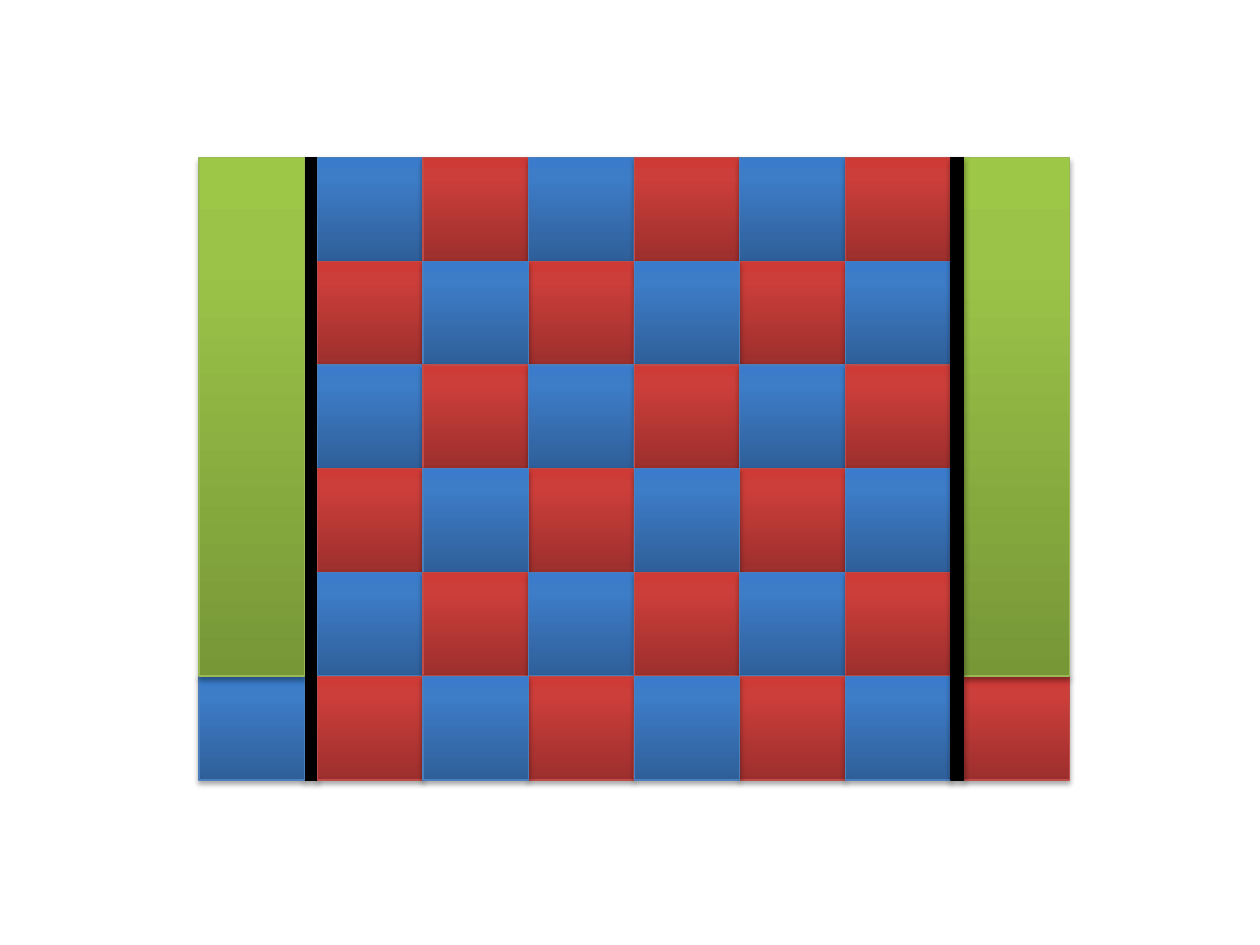
import copy

import pptx
import pptx.dml.color
import pptx.enum.shapes
import pptx.oxml
import pptx.oxml.ns
import pptx.util

# Each paint: outline, then fill stops from bottom to top.
PAINTS = {
    "blue": ("4B7EBC", ("2F5F99", "3D7CC7", "3A7CCB")),
    "red": ("BF4C48", ("9C2F2D", "CB3E3A", "CE3B37")),
    "green": ("98B955", ("779737", "9BC348", "9DC746")),
    "black": ("000000", ("000000",)),
}
STOP_POSITIONS = (0, 0.8, 1)

GRID = 6
LEFT, TOP = 1.58, 1.25
TILE_W, TILE_H = 5.03 / GRID, 4.94 / GRID
BAR_W = 0.1
BAR_LEFT = LEFT + TILE_W
BOARD_LEFT = BAR_LEFT + BAR_W
BAR_RIGHT = BOARD_LEFT + GRID * TILE_W
SIDE_RIGHT = BAR_RIGHT + BAR_W

SHADOW = (
    '<a:outerShdw %s blurRad="40000" dist="23000" dir="5400000" rotWithShape="0">'
    '<a:srgbClr val="000000"><a:alpha val="35000"/></a:srgbClr></a:outerShdw>'
    % pptx.oxml.ns.nsdecls("a")
)


def rgb(value):
    """Turn a hex string into a colour."""
    return pptx.dml.color.RGBColor.from_string(value)


def add_block(slide, paint, left, column_width, row, rows):
    """Draw one painted, shadowed block that spans some rows of the grid."""
    block = slide.shapes.add_shape(
        pptx.enum.shapes.MSO_SHAPE.RECTANGLE,
        pptx.util.Inches(left), pptx.util.Inches(TOP + row * TILE_H),
        pptx.util.Inches(column_width), pptx.util.Inches(rows * TILE_H))
    outline, shades = PAINTS[paint]
    if len(shades) == 1:
        block.fill.solid()
        block.fill.fore_color.rgb = rgb(shades[0])
    else:
        block.fill.gradient()
        block.fill.gradient_angle = 90
        stop_list = block._element.spPr.find(".//" + pptx.oxml.ns.qn("a:gsLst"))
        stop_list.append(copy.deepcopy(stop_list[-1]))
        for stop, position, shade in zip(block.fill.gradient_stops, STOP_POSITIONS, shades):
            stop.position = position
            stop.color.rgb = rgb(shade)
    block.line.color.rgb = rgb(outline)
    block.line.width = pptx.util.Pt(0.75)
    block.shadow.inherit = False
    effects = block._element.spPr.find(pptx.oxml.ns.qn("a:effectLst"))
    effects.append(pptx.oxml.parse_xml(SHADOW))


def add_board(slide):
    """Draw the checkered tiles; odd rows lay their red tiles first."""
    for row in range(GRID):
        columns = range(GRID)
        if row % 2:
            columns = sorted(columns, key=lambda column: column % 2)
        for column in columns:
            paint = "red" if (row + column) % 2 else "blue"
            add_block(slide, paint, BOARD_LEFT + column * TILE_W, TILE_W, row, 1)


def main():
    """Build the slide and save it."""
    deck = pptx.Presentation()
    deck.slide_width, deck.slide_height = pptx.util.Inches(10), pptx.util.Inches(7.5)
    slide = deck.slides.add_slide(deck.slide_layouts[6])
    add_block(slide, "black", BAR_LEFT, BAR_W, 0, GRID)
    add_board(slide)
    sides = (("blue", LEFT), ("red", SIDE_RIGHT))
    for paint, left in sides:
        add_block(slide, paint, left, TILE_W, GRID - 1, 1)
    for _, left in sides:
        add_block(slide, "green", left, TILE_W, 0, GRID - 1)
    add_block(slide, "black", BAR_RIGHT, BAR_W, 0, GRID)
    deck.save("out.pptx")


main()
